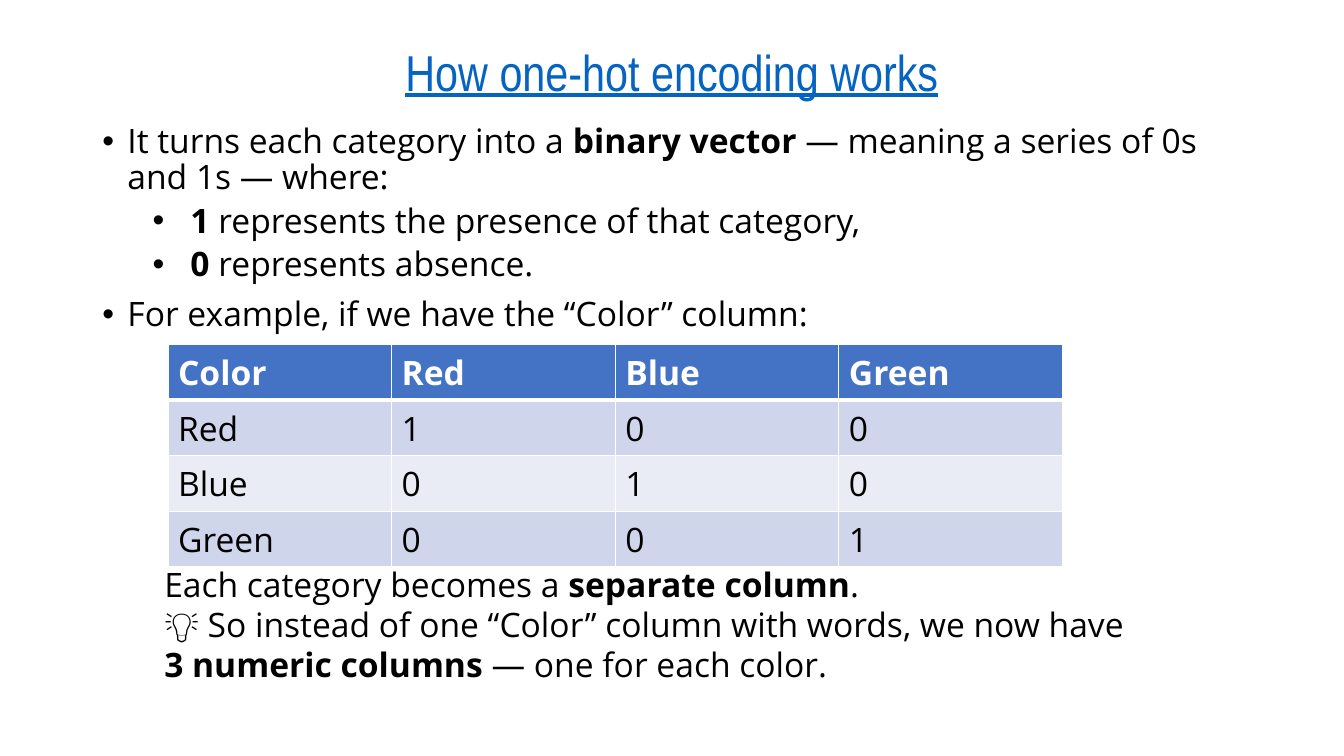
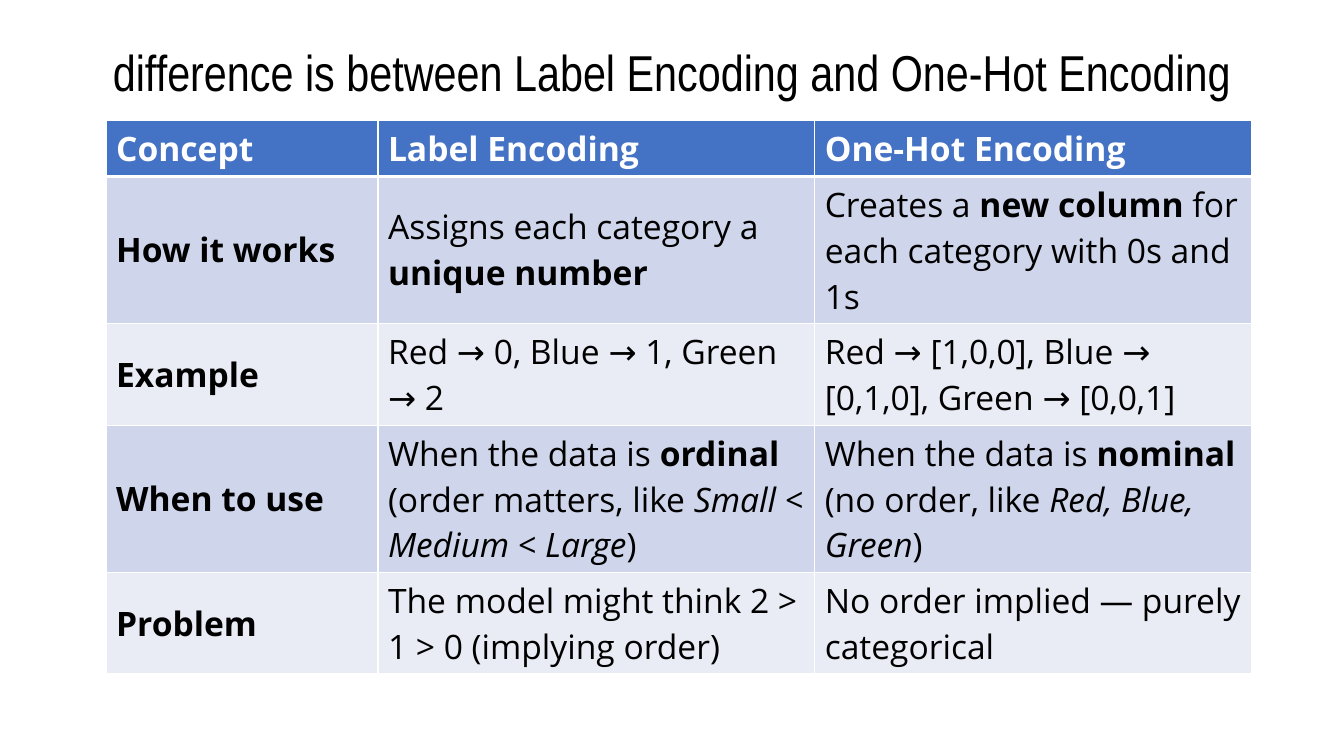
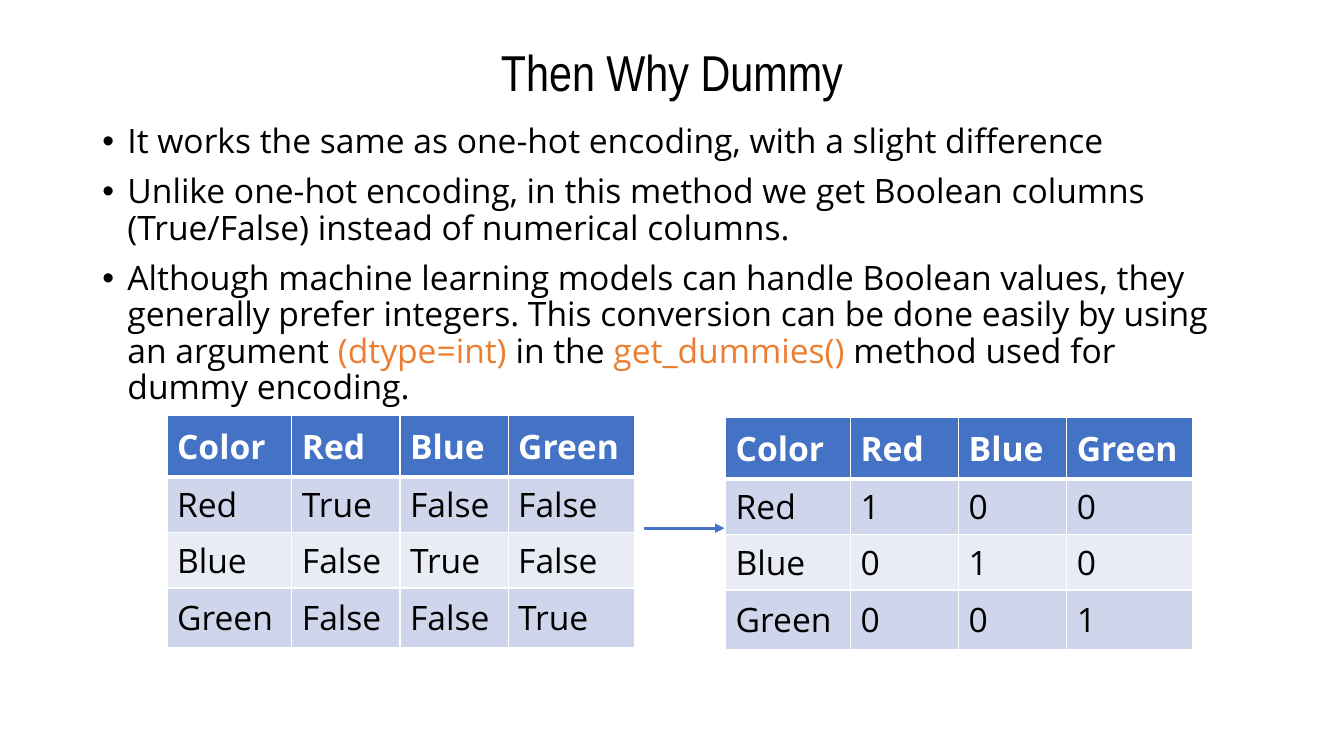
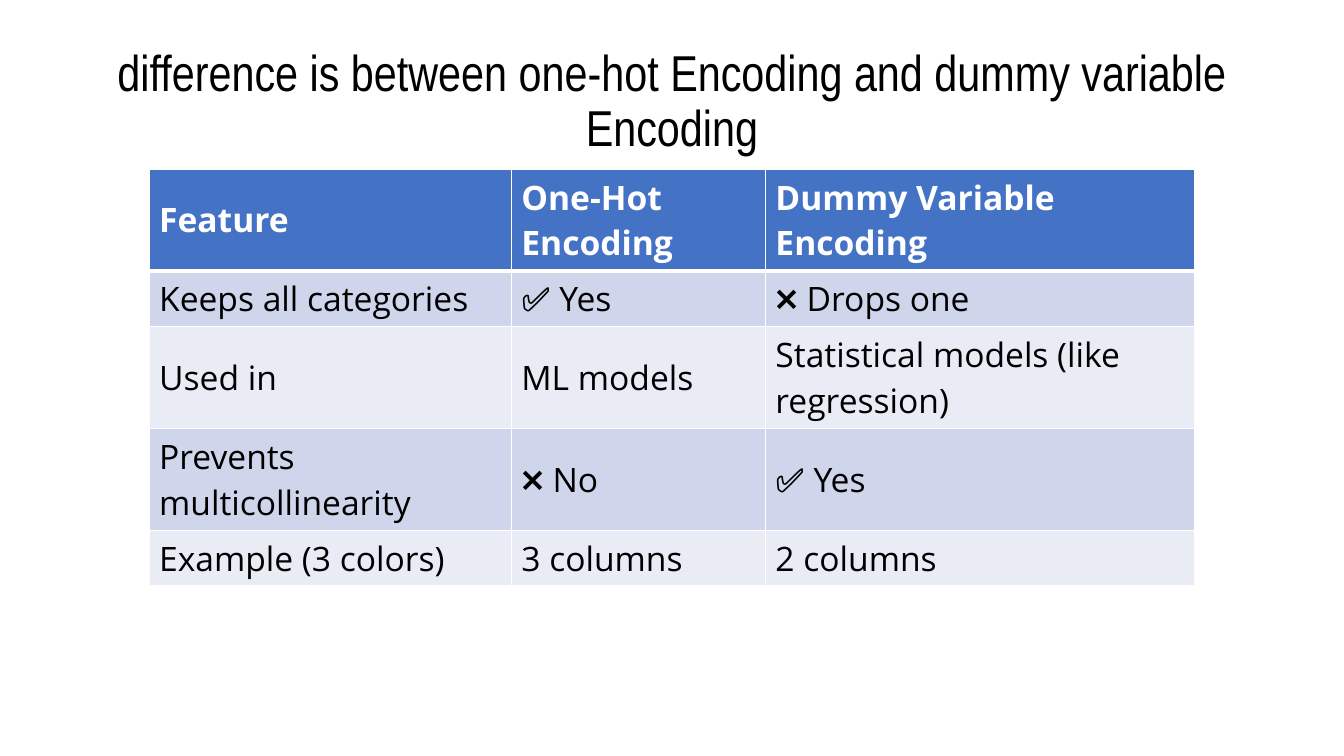
from collections import namedtuple
from dataclasses import dataclass

import lxml.etree
import pptx
import pptx.dml.color
import pptx.enum.shapes
import pptx.enum.text
import pptx.oxml.ns
import pptx.util

Box = namedtuple("Box", "left top width height")
qn = pptx.oxml.ns.qn


@dataclass(frozen=True)
class Theme:
    """Colours, fonts, sizes and shared places of the deck."""

    scale: int = 9525
    black: str = "000000"
    white: str = "FFFFFF"
    blue: str = "4472C4"
    link: str = "0563C1"
    orange: str = "ED7D31"
    bands: tuple = ("CFD5EA", "E9EBF5")
    title_font: str = "Arial Narrow"
    body_font: str = "Open Sans"
    bullet_font: str = "Arial"
    title_size: int = 36
    body_size: int = 24
    line_spacing: float = 0.9
    thin_border: float = 1
    thick_border: float = 3
    arrow_width: float = 2.25
    slide_size: tuple = (1280, 720)
    title_box: Box = Box(88, 38, 1104, 67)
    body_box: Box = Box(88, 114, 1104, 534)


THEME = Theme()
BOLD = {"bold": True}
ITALIC = {"italic": True}
CODE = {"color": THEME.orange}
BULLETS = (
    {"margin": 24, "hanging": 24, "space_before": 10},
    {"margin": 84, "hanging": 36, "space_before": 5},
)


def px(length):
    """Turn px into EMU."""
    return pptx.util.Emu(length * THEME.scale)


def set_values(target, values):
    """Set each named attribute of the target."""
    for name, value in values.items():
        setattr(target, name, value)


def rgb(color):
    """Turn a hex text into a colour."""
    return pptx.dml.color.RGBColor.from_string(color)


def add_runs(paragraph, content, base):
    """Write plain text or (text, style) pairs with a base style."""
    pieces = [content] if isinstance(content, str) else content
    for piece in pieces:
        text, style = (piece, {}) if isinstance(piece, str) else piece
        values = {"bold": False, "italic": False, **base, **style}
        run = paragraph.add_run()
        run.text = text
        run.font.color.rgb = rgb(values.pop("color"))
        values["size"] = pptx.util.Pt(values["size"])
        set_values(run.font, values)


def body_style(color=THEME.black, **extra):
    """Give the style of body text."""
    return {"name": THEME.body_font, "size": THEME.body_size, "color": color, **extra}


def add_text_box(slide, box):
    """Place a wrapping text box and return its frame."""
    frame = slide.shapes.add_textbox(*map(px, box)).text_frame
    frame.word_wrap = True
    return frame


def add_paragraphs(frame, count):
    """Return the given number of paragraphs of a new frame."""
    return [frame.paragraphs[0]] + [frame.add_paragraph() for _ in range(count - 1)]


def add_title(slide, text, box=THEME.title_box, color=THEME.black, underline=False):
    """Place a centred slide title."""
    frame = add_text_box(slide, box)
    frame.vertical_anchor = pptx.enum.text.MSO_ANCHOR.MIDDLE
    paragraph = frame.paragraphs[0]
    set_values(paragraph, {
        "alignment": pptx.enum.text.PP_ALIGN.CENTER,
        "line_spacing": THEME.line_spacing,
    })
    add_runs(paragraph, text, {
        "name": THEME.title_font, "size": THEME.title_size,
        "color": color, "underline": underline,
    })


def add_bullets(slide, items, box=THEME.body_box):
    """Place bulleted (level, content) items."""
    frame = add_text_box(slide, box)
    for paragraph, (level, content) in zip(add_paragraphs(frame, len(items)), items):
        bullet = BULLETS[level]
        set_values(paragraph, {
            "level": level,
            "line_spacing": THEME.line_spacing,
            "space_before": pptx.util.Pt(bullet["space_before"]),
        })
        properties = paragraph._p.get_or_add_pPr()
        properties.set("marL", str(px(bullet["margin"])))
        properties.set("indent", str(-px(bullet["hanging"])))
        lxml.etree.SubElement(properties, qn("a:buFont"), typeface=THEME.bullet_font)
        lxml.etree.SubElement(properties, qn("a:buChar"), char="•")
        add_runs(paragraph, content, body_style())


def add_note(slide, box, lines):
    """Place plain paragraphs of body text."""
    frame = add_text_box(slide, box)
    for paragraph, content in zip(add_paragraphs(frame, len(lines)), lines):
        add_runs(paragraph, content, body_style())


def add_borders(cell, widths):
    """Draw white cell borders of the given side widths."""
    properties = cell._tc.get_or_add_tcPr()
    for side, width in widths.items():
        line = lxml.etree.SubElement(
            properties, qn(f"a:ln{side}"), w=str(pptx.util.Pt(width)))
        fill = lxml.etree.SubElement(line, qn("a:solidFill"))
        lxml.etree.SubElement(fill, qn("a:srgbClr"), val=THEME.white)


def add_grid(slide, left, top, column_widths, row_heights, rows, bold_labels=False):
    """Place a banded table with a blue heading row."""
    box = Box(left, top, sum(column_widths), sum(row_heights))
    table = slide.shapes.add_table(
        len(rows), len(column_widths), *map(px, box)).table
    for column, width in zip(table.columns, column_widths):
        column.width = px(width)
    for row, height in zip(table.rows, row_heights):
        row.height = px(height)
    for row_index, contents in enumerate(rows):
        heading = row_index == 0
        fill = THEME.blue if heading else THEME.bands[(row_index - 1) % 2]
        widths = dict.fromkeys("LRTB", THEME.thin_border)
        if row_index < 2:
            widths["B" if heading else "T"] = THEME.thick_border
        for column_index, content in enumerate(contents):
            cell = table.cell(row_index, column_index)
            add_borders(cell, widths)
            cell.fill.solid()
            cell.fill.fore_color.rgb = rgb(fill)
            cell.vertical_anchor = pptx.enum.text.MSO_ANCHOR.MIDDLE
            add_runs(cell.text_frame.paragraphs[0], content, body_style(
                THEME.white if heading else THEME.black,
                bold=heading or (bold_labels and column_index == 0)))


def add_arrow(slide, left, top, width):
    """Place a level arrow pointing right."""
    arrow = slide.shapes.add_connector(
        pptx.enum.shapes.MSO_CONNECTOR.STRAIGHT,
        px(left), px(top), px(left + width), px(top))
    arrow.line.color.rgb = rgb(THEME.blue)
    arrow.line.width = pptx.util.Pt(THEME.arrow_width)
    lxml.etree.SubElement(arrow.line._get_or_add_ln(), qn("a:tailEnd"), type="triangle")
    lxml.etree.SubElement(arrow._element.spPr, qn("a:effectLst"))


def line_heights(*line_counts):
    """Give row heights for cells of one or more text lines."""
    return [{1: 53, 2: 97, 3: 140}[count] for count in line_counts]


def encoded_rows(hit, miss):
    """Give the colour table with one hit in each row."""
    colors = ["Red", "Blue", "Green"]
    return [["Color", *colors]] + [
        [label, *(hit if label == color else miss for color in colors)]
        for label in colors
    ]


def build_one_hot(slide):
    """Explain one-hot encoding."""
    add_title(slide, "How one-hot encoding works", color=THEME.link, underline=True)
    add_bullets(slide, [
        (0, ["It turns each category into a ", ("binary vector", BOLD),
             " — meaning a series of 0s and 1s — where:"]),
        (1, [("1", BOLD), " represents the presence of that category,"]),
        (1, [("0", BOLD), " represents absence."]),
        (0, "For example, if we have the “Color” column:"),
    ])
    add_grid(slide, 160, 328, [213] * 4, line_heights(1, 1, 1, 1), encoded_rows("1", "0"))
    add_note(slide, Box(147, 532, 945, 126), [
        ["Each category becomes a ", ("separate column", BOLD), "."],
        ["💡 So instead of one “Color” column with words, we now have ",
         ("3 numeric columns", BOLD), " — one for each color."],
    ])


def build_label_comparison(slide):
    """Compare label encoding with one-hot encoding."""
    add_title(slide, "difference is between Label Encoding and One-Hot Encoding")
    add_grid(slide, 101, 115, [259, 416, 416], line_heights(1, 3, 2, 3, 2), [
        ["Concept", "Label Encoding", "One-Hot Encoding"],
        ["How it works",
         ["Assigns each category a ", ("unique number", BOLD)],
         ["Creates a ", ("new column", BOLD), " for each category with 0s and 1s"]],
        ["Example", "Red → 0, Blue → 1, Green → 2",
         "Red → [1,0,0], Blue → [0,1,0], Green → [0,0,1]"],
        ["When to use",
         ["When the data is ", ("ordinal", BOLD), " (order matters, like ",
          ("Small < Medium < Large", ITALIC), ")"],
         ["When the data is ", ("nominal", BOLD), " (no order, like ",
          ("Red, Blue, Green", ITALIC), ")"]],
        ["Problem", "The model might think 2 > 1 > 0 (implying order)",
         "No order implied — purely categorical"],
    ], bold_labels=True)


def build_dummy(slide):
    """Explain dummy encoding and its integer form."""
    add_title(slide, "Then Why Dummy")
    add_bullets(slide, [
        (0, "It works the same as one-hot encoding, with a slight difference"),
        (0, "Unlike one-hot encoding, in this method we get Boolean columns "
            "(True/False) instead of numerical columns."),
        (0, ["Although machine learning models can handle Boolean values, they "
             "generally prefer integers. This conversion can be done easily by "
             "using an argument ", ("(dtype=int) ", CODE), "in the ",
             ("get_dummies() ", CODE), "method used for dummy encoding."]),
    ])
    for left, top, values in ((159, 396, ("True", "False")), (691, 398, ("1", "0"))):
        add_grid(slide, left, top, [119, 103, 103, 120], [58, 53, 53, 57],
                 encoded_rows(*values))
    add_arrow(slide, 613, 503, 77)


def build_dummy_comparison(slide):
    """Compare one-hot encoding with dummy variable encoding."""
    add_title(slide, "difference is between one-hot Encoding and dummy variable Encoding",
              box=THEME.title_box._replace(height=120))
    add_grid(slide, 142, 161, [345, 242, 409], line_heights(2, 1, 2, 2, 1), [
        ["Feature", "One-Hot Encoding", "Dummy Variable Encoding"],
        ["Keeps all categories", "✅ Yes", "❌ Drops one"],
        ["Used in", "ML models", "Statistical models (like regression)"],
        ["Prevents multicollinearity", "❌ No", "✅ Yes"],
        ["Example (3 colors)", "3 columns", "2 columns"],
    ])


def main():
    """Build and save the deck."""
    presentation = pptx.Presentation()
    width, height = map(px, THEME.slide_size)
    set_values(presentation, {"slide_width": width, "slide_height": height})
    for build in (build_one_hot, build_label_comparison,
                  build_dummy, build_dummy_comparison):
        build(presentation.slides.add_slide(presentation.slide_layouts[6]))
    presentation.save("out.pptx")


if __name__ == "__main__":
    main()
